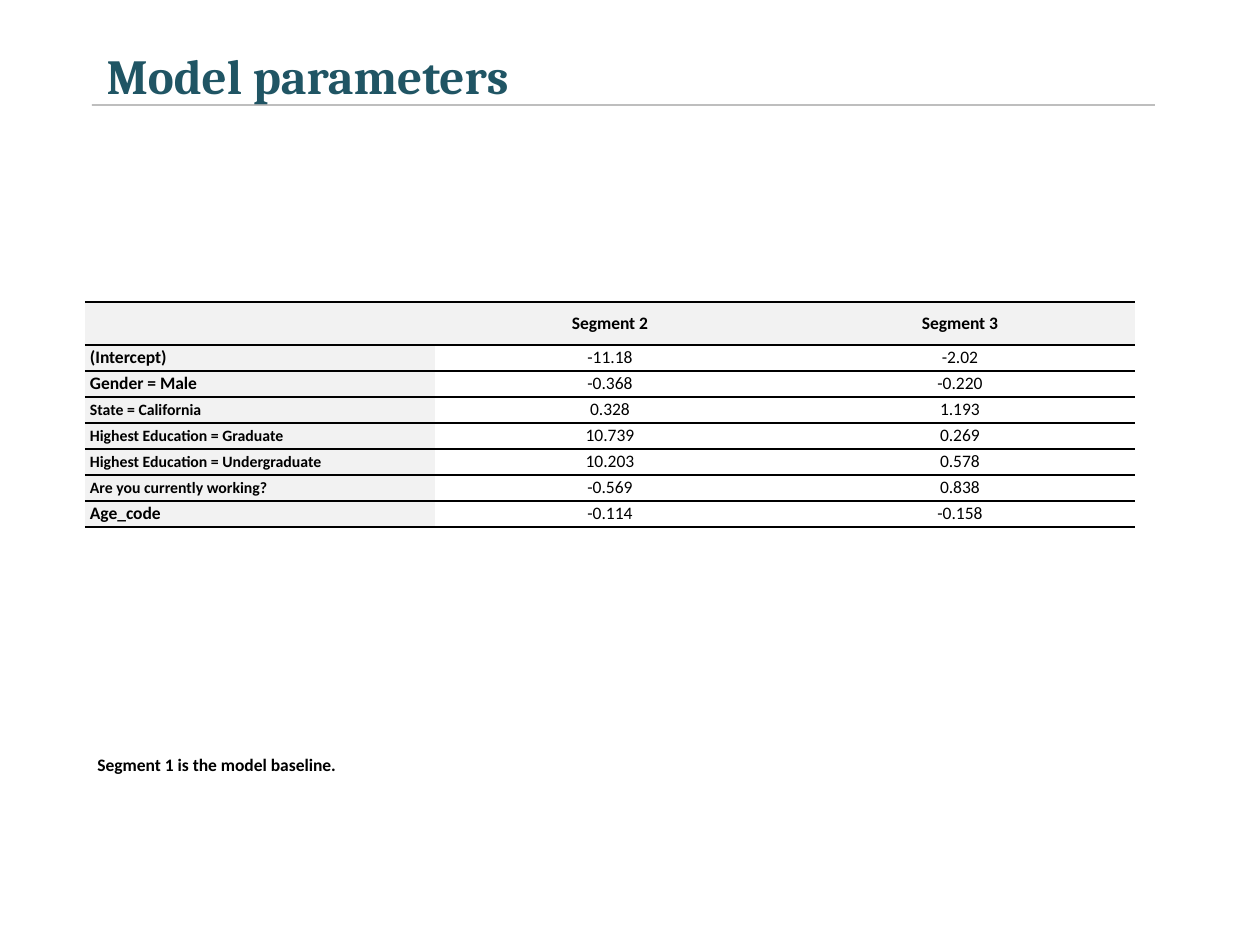
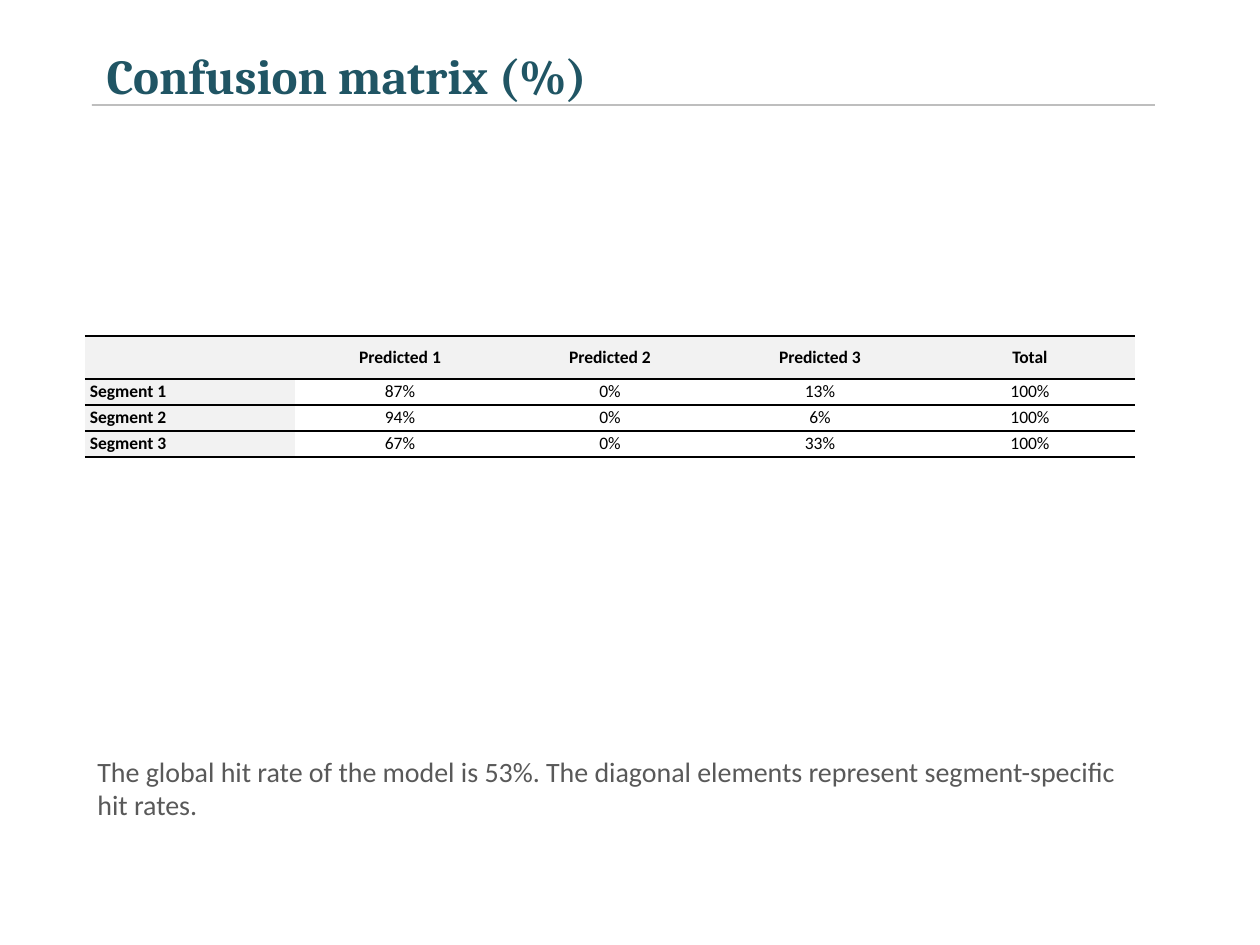
from lxml import etree
from pptx import Presentation
from pptx.dml.color import RGBColor
from pptx.enum.shapes import MSO_CONNECTOR
from pptx.enum.text import MSO_ANCHOR, MSO_AUTO_SIZE, PP_ALIGN
from pptx.oxml import parse_xml
from pptx.oxml.ns import nsdecls, qn
from pptx.util import Emu, Pt

TEAL = RGBColor(0x20, 0x55, 0x64)
BLACK = RGBColor(0x00, 0x00, 0x00)
WHITE = RGBColor(0xFF, 0xFF, 0xFF)
DARK_GRAY = RGBColor(0x59, 0x59, 0x59)
RULE_GRAY = RGBColor(0x7F, 0x7F, 0x7F)
LIGHT_GRAY = RGBColor(0xF2, 0xF2, 0xF2)

TABLE_LEFT, TABLE_WIDTH = 85, 1050
HEADER_HEIGHT, ROW_HEIGHT = 43, 26
CELL_MARGIN, LABEL_MARGIN = 2, 5

# Row labels set one point smaller than the rest of the table
SMALL_LABELS = {
    "State = California",
    "Highest Education = Graduate",
    "Highest Education = Undergraduate",
    "Are you currently working?",
}

# Title, table top, table rows, caption, caption size, colour and weight
SLIDES = [
    ("Model parameters", 302, [
        ("", "Segment 2", "Segment 3"),
        ("(Intercept)", "-11.18", "-2.02"),
        ("Gender = Male", "-0.368", "-0.220"),
        ("State = California", "0.328", "1.193"),
        ("Highest Education = Graduate", "10.739", "0.269"),
        ("Highest Education = Undergraduate", "10.203", "0.578"),
        ("Are you currently working?", "-0.569", "0.838"),
        ("Age_code", "-0.114", "-0.158"),
    ], "Segment 1 is the model baseline.", 10, BLACK, True),
    ("Confusion matrix (%)", 336, [
        ("", "Predicted 1", "Predicted 2", "Predicted 3", "Total"),
        ("Segment 1", "87%", "0%", "13%", "100%"),
        ("Segment 2", "94%", "0%", "6%", "100%"),
        ("Segment 3", "67%", "0%", "33%", "100%"),
    ], "The global hit rate of the model is 53%. The diagonal elements represent "
       "segment-specific hit rates.", 16, DARK_GRAY, False),
]


def px(length):
    return Emu(round(length * 914400 / 126))


def format_text(paragraph, name, size, color, bold):
    for run in paragraph.runs:
        run.font.name = name
        run.font.size = Pt(size)
        run.font.color.rgb = color
        run.font.bold = bold


presentation = Presentation()
presentation.slide_width, presentation.slide_height = px(1260), px(945)
title_only = presentation.slide_layouts[5]

for title_text, table_top, rows, caption_text, size, color, bold in SLIDES:
    slide = presentation.slides.add_slide(title_only)

    # Title
    title = slide.shapes.title
    title.left, title.top, title.width, title.height = px(94), px(0), px(1050), px(105)
    text_frame = title.text_frame
    text_frame.text = title_text
    text_frame.word_wrap = True
    text_frame.auto_size = MSO_AUTO_SIZE.SHAPE_TO_FIT_TEXT
    text_frame.vertical_anchor = MSO_ANCHOR.TOP
    text_frame.margin_top = px(45)
    text_frame.paragraphs[0].alignment = PP_ALIGN.LEFT
    format_text(text_frame.paragraphs[0], "Cambria", 28, TEAL, True)

    # Half-transparent rule under the title
    rule = slide.shapes.add_connector(
        MSO_CONNECTOR.STRAIGHT, px(92), px(105), px(1155), px(105))
    rule.line.color.rgb = RULE_GRAY
    rule.line.width = Pt(1)
    rule_color = rule.line._ln.find(".//" + qn("a:srgbClr"))
    etree.SubElement(rule_color, qn("a:alpha"), val="50000")
    etree.SubElement(rule._element.spPr, qn("a:effectLst"))

    # Table
    column_count = len(rows[0])
    table_height = HEADER_HEIGHT + ROW_HEIGHT * (len(rows) - 1)
    table = slide.shapes.add_table(
        len(rows), column_count, px(TABLE_LEFT), px(table_top),
        px(TABLE_WIDTH), px(table_height)).table
    table.first_row = table.horz_banding = False
    for column in table.columns:
        column.width = px(TABLE_WIDTH // column_count)

    for row_index, values in enumerate(rows):
        is_header = row_index == 0
        table.rows[row_index].height = px(HEADER_HEIGHT if is_header else ROW_HEIGHT)
        for column_index, value in enumerate(values):
            is_label = column_index == 0
            cell = table.cell(row_index, column_index)
            cell.margin_left = px(LABEL_MARGIN if is_label else 0)
            cell.margin_right = px(0)
            cell.margin_top = cell.margin_bottom = px(CELL_MARGIN)
            cell.vertical_anchor = MSO_ANCHOR.MIDDLE

            # Black lines above and below, none at the sides
            cell_properties = cell._tc.get_or_add_tcPr()
            for side in ("lnL", "lnR", "lnT", "lnB"):
                paint = ("<a:noFill/>" if side in ("lnL", "lnR") else
                         f'<a:solidFill><a:srgbClr val="{BLACK}"/></a:solidFill>')
                cell_properties.append(parse_xml(
                    f'<a:{side} {nsdecls("a")} w="12700">{paint}</a:{side}>'))
            cell.fill.solid()
            cell.fill.fore_color.rgb = LIGHT_GRAY if is_header or is_label else WHITE

            if value:
                cell.text_frame.text = value
                paragraph = cell.text_frame.paragraphs[0]
                paragraph.alignment = PP_ALIGN.LEFT if is_label else PP_ALIGN.CENTER
                format_text(paragraph, "Calibri", 9 if value in SMALL_LABELS else 10,
                            BLACK, is_header or is_label)

    # Caption
    caption = slide.shapes.add_textbox(px(85), px(748), px(1050), px(131))
    caption.text_frame.word_wrap = True
    caption.text_frame.text = caption_text
    format_text(caption.text_frame.paragraphs[0], "Calibri", size, color, bold)

presentation.save("out.pptx")
